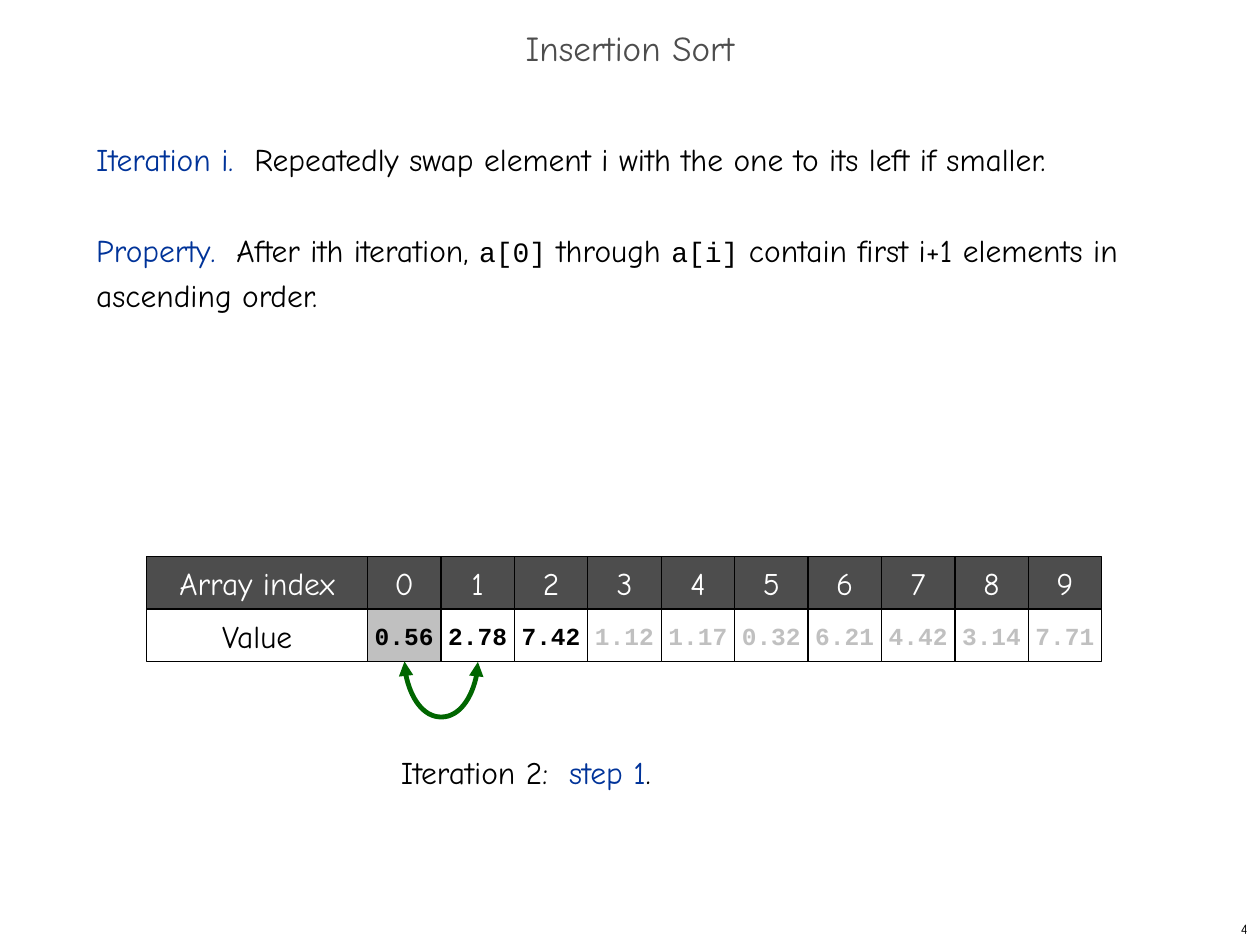
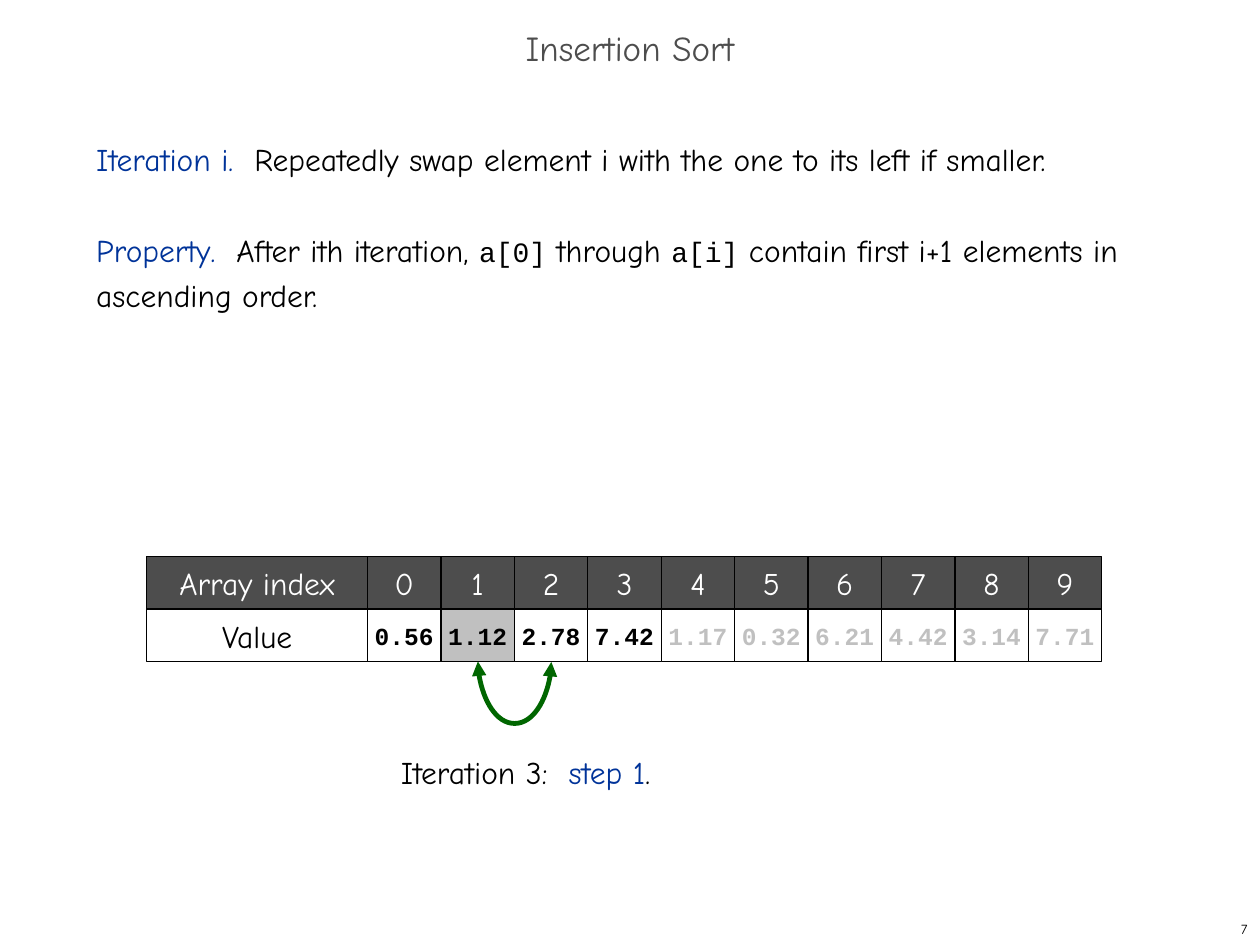
from lxml.etree import SubElement
from pptx import Presentation
from pptx.dml.color import RGBColor
from pptx.enum.shapes import MSO_CONNECTOR, MSO_SHAPE
from pptx.enum.text import MSO_ANCHOR, MSO_AUTO_SIZE, PP_ALIGN
from pptx.oxml.ns import qn
from pptx.util import Cm, Pt

COLORS = {"ink": "000000", "paper": "FFFFFF", "header": "4D4D4D",
          "muted": "C0C0C0", "accent": "003399", "swap": "006600"}
SANS, MONO = "Comic Neue", "Courier New"
FONTS = {
    "title": {"name": SANS, "size": Pt(20), "bold": False},
    "text": {"name": SANS, "size": Pt(18)},
    "code": {"name": MONO, "size": Pt(16)},
    "value": {"name": MONO, "size": Pt(14), "bold": True},
    "number": {"name": SANS, "size": Pt(8)},
}
CENTERED = {"anchor": MSO_ANCHOR.MIDDLE, "align": PP_ALIGN.CENTER}

# Array grid, in centimetres
ARRAY_LEFT, ARRAY_TOP = 2.96, 11.22
LABEL_WIDTH, CELL_WIDTH, ROW_HEIGHT = 4.45, 1.48, 1.06
ARRAY_BOTTOM = ARRAY_TOP + 2 * ROW_HEIGHT
CURVE_DEPTH = 0.01  # thickness of the curve's box, which its bend is relative to

EXPLANATION = [
    [("Iteration i.  ", "text", "accent"),
     ("Repeatedly swap element i with the one to its left if smaller.", "text", "ink")],
    [("Property.  ", "text", "accent"), ("After ith iteration, ", "text", "ink"),
     ("a[0]", "code", "ink"), (" through ", "text", "ink"), ("a[i]", "code", "ink"),
     (" contain first i+1 elements in ascending order.", "text", "ink")],
]
STEPS = [
    {"page": "4", "iteration": 2, "moved": 0, "bend": 1.12,
     "values": "0.56 2.78 7.42 1.12 1.17 0.32 6.21 4.42 3.14 7.71"},
    {"page": "7", "iteration": 3, "moved": 1, "bend": 1.25,
     "values": "0.56 1.12 2.78 7.42 1.17 0.32 6.21 4.42 3.14 7.71"},
]


def write(paragraph, runs):
    for text, font, color in runs:
        run = paragraph.add_run()
        run.text = text
        for attribute, value in FONTS[font].items():
            setattr(run.font, attribute, value)
        run.font.color.rgb = RGBColor.from_string(COLORS[color])


def add_cell(slide, column, row, text, font, color, fill):
    left, width = ARRAY_LEFT, LABEL_WIDTH
    if column > 0:
        left, width = ARRAY_LEFT + LABEL_WIDTH + (column - 1) * CELL_WIDTH, CELL_WIDTH
    cell = slide.shapes.add_shape(
        MSO_SHAPE.RECTANGLE, Cm(left), Cm(ARRAY_TOP + row * ROW_HEIGHT),
        Cm(width), Cm(ROW_HEIGHT))
    cell.shadow.inherit = False
    cell.fill.solid()
    cell.fill.fore_color.rgb = RGBColor.from_string(COLORS[fill])
    cell.line.color.rgb = RGBColor.from_string(COLORS["ink"])
    cell.line.width = Pt(0.75)
    cell.text_frame.word_wrap = False
    cell.text_frame.vertical_anchor = CENTERED["anchor"]
    cell.text_frame.paragraphs[0].alignment = CENTERED["align"]
    write(cell.text_frame.paragraphs[0], [(text, font, color)])


prs = Presentation()
prs.slide_width, prs.slide_height = Cm(25.4), Cm(19.05)

for step in STEPS:
    slide = prs.slides.add_slide(prs.slide_layouts[5])

    # Title
    title = slide.shapes.title
    for attribute, value in {"left": 0, "top": Cm(0.42), "width": prs.slide_width,
                             "height": Cm(1.27)}.items():
        setattr(title, attribute, value)
    title.text_frame.auto_size = MSO_AUTO_SIZE.NONE
    title.text_frame.vertical_anchor = CENTERED["anchor"]
    heading = title.text_frame.paragraphs[0]
    heading.alignment = CENTERED["align"]
    heading.line_spacing = 0.7
    write(heading, [("Insertion Sort", "title", "header")])

    # Explanation
    explanation = slide.shapes.add_textbox(Cm(1.69), Cm(2.54), Cm(22.44), Cm(15.03)).text_frame
    explanation.word_wrap = True
    for index, runs in enumerate(EXPLANATION):
        rule = explanation.add_paragraph() if index else explanation.paragraphs[0]
        rule.line_spacing = Pt(26)
        if index:
            rule.space_before = Pt(26)
        write(rule, runs)

    # Array: index row above value row
    add_cell(slide, 0, 0, "Array index", "text", "paper", "header")
    add_cell(slide, 0, 1, "Value", "text", "ink", "paper")
    for index, value in enumerate(step["values"].split()):
        add_cell(slide, index + 1, 0, str(index), "text", "paper", "header")
        add_cell(slide, index + 1, 1, value, "value",
                 "ink" if index <= step["iteration"] else "muted",
                 "muted" if index == step["moved"] else "paper")

    # Swap arrow: an upright curve turned to hang below the two swapped cells
    swap_x = ARRAY_LEFT + LABEL_WIDTH + (step["moved"] + 1) * CELL_WIDTH
    swap = slide.shapes.add_connector(
        MSO_CONNECTOR.CURVE, Cm(swap_x + CURVE_DEPTH), Cm(ARRAY_BOTTOM - CELL_WIDTH / 2),
        Cm(swap_x), Cm(ARRAY_BOTTOM + CELL_WIDTH / 2))
    swap.line.color.rgb = RGBColor.from_string(COLORS["swap"])
    swap.line.width = Pt(2.75)
    properties = swap._element.spPr
    properties.find(qn("a:xfrm")).set("rot", str(270 * 60000))
    bend = round(step["bend"] / CURVE_DEPTH * 100000)
    SubElement(properties.find(qn("a:prstGeom")).find(qn("a:avLst")), qn("a:gd"),
               name="adj1", fmla=f"val {bend}")
    for end in ("a:headEnd", "a:tailEnd"):
        SubElement(properties.find(qn("a:ln")), qn(end), type="triangle")
    SubElement(properties, qn("a:effectLst"))

    # Caption
    caption = slide.shapes.add_textbox(Cm(7.83), Cm(15.06), Cm(10.37), Cm(1.02)).text_frame
    caption.word_wrap = True
    write(caption.paragraphs[0], [(f"Iteration {step['iteration']}:  ", "text", "ink"),
                                  ("step 1", "text", "accent"), (".", "text", "ink")])

    # Page number
    page = slide.shapes.add_textbox(Cm(20.11), Cm(18.42), Cm(5.29), Cm(0.63)).text_frame
    page.word_wrap = True
    page.vertical_anchor = MSO_ANCHOR.MIDDLE
    page.paragraphs[0].alignment = PP_ALIGN.RIGHT
    write(page.paragraphs[0], [(step["page"], "number", "ink")])

prs.save("out.pptx")
